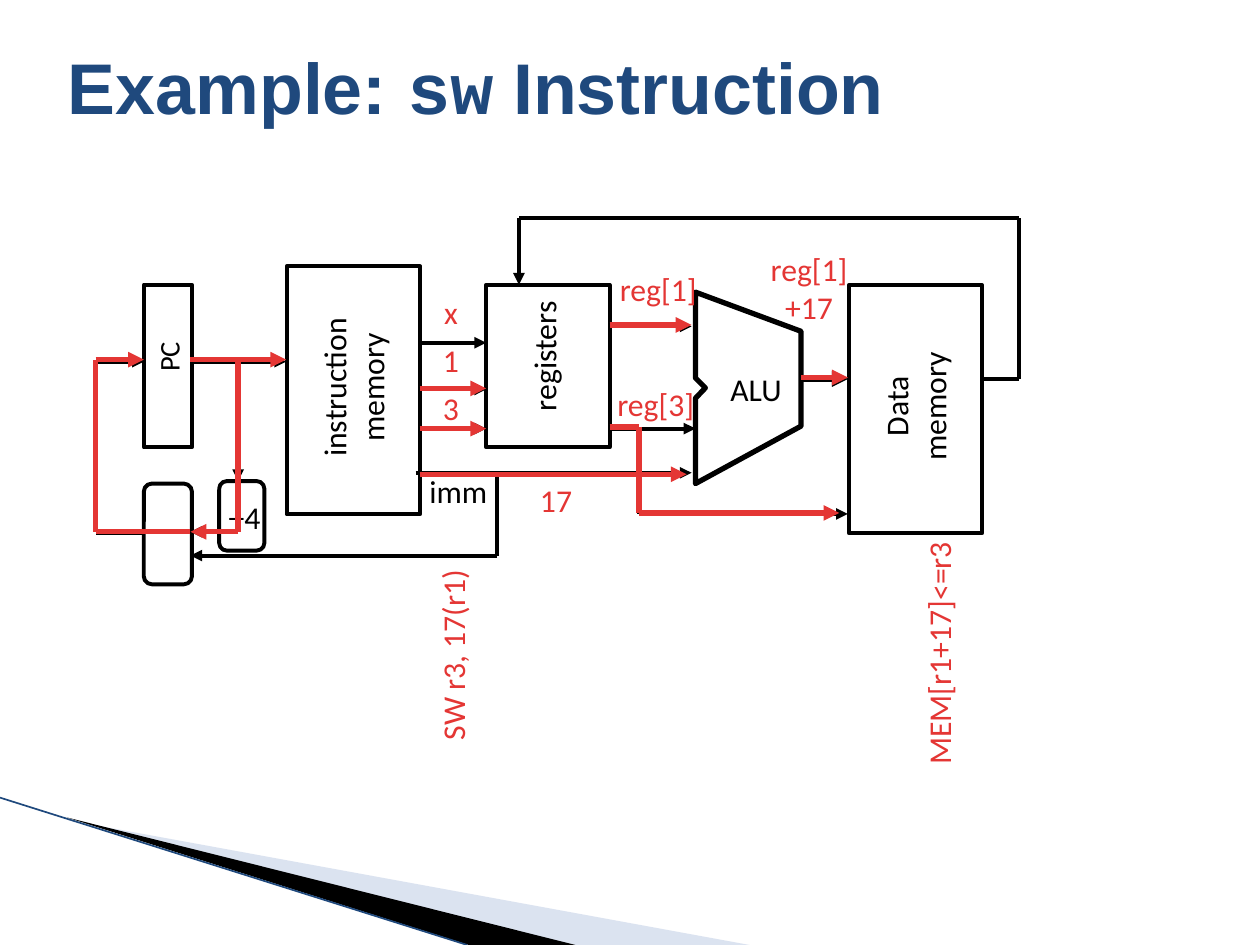
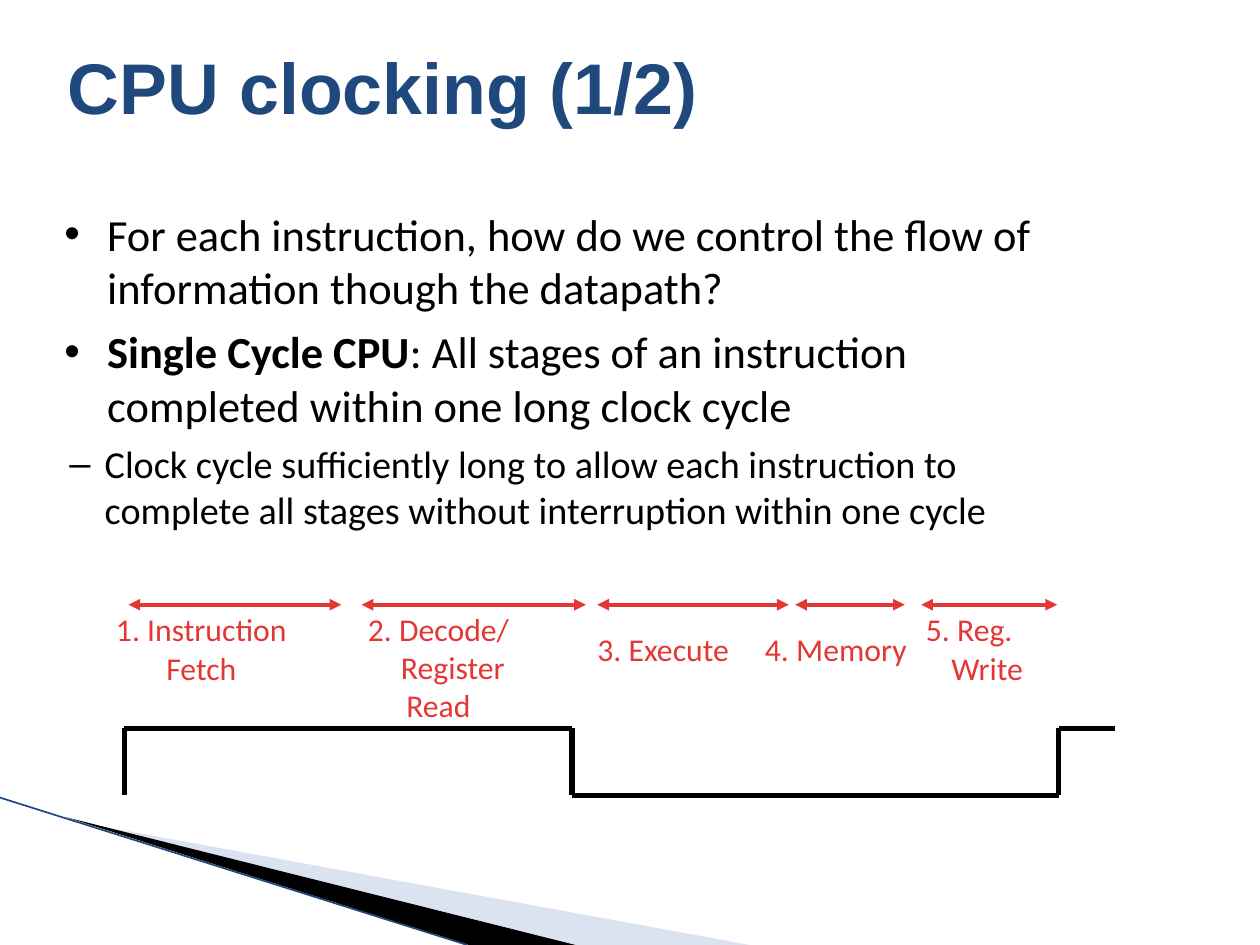
from pptx import Presentation
from pptx.dml.color import RGBColor
from pptx.enum.shapes import MSO_CONNECTOR, MSO_SHAPE
from pptx.enum.text import MSO_ANCHOR, MSO_AUTO_SIZE, PP_ALIGN
from pptx.oxml.ns import qn
from pptx.util import Cm, Pt
from lxml import etree

STRAIGHT = MSO_CONNECTOR.STRAIGHT
RECTANGLE, ROUNDED = MSO_SHAPE.RECTANGLE, MSO_SHAPE.ROUNDED_RECTANGLE
TOP, MIDDLE = MSO_ANCHOR.TOP, MSO_ANCHOR.MIDDLE
LEFT, CENTER = PP_ALIGN.LEFT, PP_ALIGN.CENTER
NO_AUTOFIT = MSO_AUTO_SIZE.NONE

NAVY = RGBColor(0x1F, 0x49, 0x7D)
PALE_BLUE = RGBColor(0xA7, 0xB9, 0xDB)
BLACK = RGBColor(0, 0, 0)
WHITE = RGBColor(0xFF, 0xFF, 0xFF)
RED = RGBColor(0xE4, 0x36, 0x34)

TITLE_FONT, TEXT_FONT, CODE_FONT = "Arial", "Calibri", "Courier New"
TITLE_SIZE, LABEL_SIZE = 41, 18.1
THIN, THICK = 2.25, 3
TITLE_ONLY, TITLE_AND_BODY = 5, 1


class Painter:
    """Holds the deck's style and the slide being drawn."""

    def __init__(self, deck):
        self.deck = deck
        self.page = None

    def add_page(self, layout, title_spans):
        self.page = self.deck.slides.add_slide(self.deck.slide_layouts[layout])
        title = self.page.shapes.title
        self.place(title, 1.27, 0.76, 22.86, 3.18)
        self.set_frame(title.text_frame, 0.1, TOP)
        para = title.text_frame.paragraphs[0]
        para.alignment = LEFT
        for text, font in title_spans:
            self.span(para, text, TITLE_SIZE, NAVY, font, True)

    def place(self, shape, left, top, width, height):
        shape.left, shape.top = Cm(left), Cm(top)
        shape.width, shape.height = Cm(width), Cm(height)

    def set_frame(self, frame, inset, anchor, wrap=True):
        frame.margin_left = frame.margin_right = Cm(inset)
        frame.margin_top = frame.margin_bottom = Cm(inset)
        frame.vertical_anchor = anchor
        frame.word_wrap = wrap
        frame.auto_size = NO_AUTOFIT

    def span(self, para, text, size, color, font=TEXT_FONT, bold=False):
        run = para.add_run()
        run.text = text
        run.font.size = Pt(size)
        run.font.name = font
        run.font.bold = bold
        run.font.color.rgb = color

    def indent(self, para, margin, first=0):
        properties = para._p.get_or_add_pPr()
        properties.set("marL", str(Cm(margin)))
        properties.set("indent", str(Cm(first)))

    def bullets(self, items, left, top, width, height):
        """items: (level, [(text, bold), ...]); level 0 or 1."""
        styles = [(25.4, 6.3, 0.86, -0.86), (21.8, 5.5, 0.81, -0.71)]
        body = self.page.placeholders[1]
        self.place(body, left, top, width, height)
        frame = body.text_frame
        self.set_frame(frame, 0.13, TOP)
        for number, (level, spans) in enumerate(items):
            para = frame.add_paragraph() if number else frame.paragraphs[0]
            size, before, margin, first = styles[level]
            para.level = level
            para.space_before = Pt(before)
            self.indent(para, margin, first)
            for text, bold in spans:
                self.span(para, text, size, BLACK, bold=bold)

    def block(self, left, top, width, height, kind=RECTANGLE):
        box = self.page.shapes.add_shape(
            kind, Cm(left), Cm(top), Cm(width), Cm(height))
        box.shadow.inherit = False
        box.fill.solid()
        box.fill.fore_color.rgb = WHITE
        box.line.color.rgb = BLACK
        box.line.width = Pt(THIN)

    def label(self, lines, x, y, width, color=BLACK, size=LABEL_SIZE,
              turned=False, leads=None):
        """Centred text around (x, y); leads shifts single lines right."""
        height = 0.28 + 0.76 * len(lines)
        box = self.page.shapes.add_textbox(
            Cm(x - width / 2), Cm(y - height / 2), Cm(width), Cm(height))
        box.rotation = 270 if turned else 0
        frame = box.text_frame
        self.set_frame(frame, 0.13, MIDDLE, wrap=False)
        for number, text in enumerate(lines):
            para = frame.add_paragraph() if number else frame.paragraphs[0]
            para.alignment = CENTER
            self.indent(para, 0.1 + (leads[number] if leads else 0))
            self.span(para, text, size, color)

    def outline(self, points):
        corners = [(Cm(x), Cm(y)) for x, y in points]
        builder = self.page.shapes.build_freeform(*corners[0], scale=1.0)
        builder.add_line_segments(corners[1:], close=True)
        shape = builder.convert_to_shape()
        shape.shadow.inherit = False
        return shape

    def wire(self, points, color=BLACK, width=THIN, head=False, tail=True):
        """Straight pieces through the points, arrowheads at the ends."""
        pieces = list(zip(points, points[1:]))
        for number, (start, end) in enumerate(pieces):
            line = self.page.shapes.add_connector(
                STRAIGHT, *(Cm(value) for value in start + end))
            line.line.color.rgb = color
            line.line.width = Pt(width)
            stroke = line.line._get_or_add_ln()
            if head and number == 0:
                etree.SubElement(stroke, qn("a:headEnd"), type="triangle")
            if tail and number == len(pieces) - 1:
                etree.SubElement(stroke, qn("a:tailEnd"), type="triangle")
            etree.SubElement(line._element.spPr, qn("a:effectLst"))
        return line

    def corner_bands(self):
        """Draw the corner once and hand it to the slide master."""
        pale = self.outline([(1.4, 16.54), (15.11, 19.05), (11.58, 19.05)])
        dark = self.outline([(1.35, 16.48), (11.6, 19.05), (9.45, 19.05)])
        for band, color in ((pale, PALE_BLUE), (dark, BLACK)):
            band.fill.solid()
            band.fill.fore_color.rgb = color
            band.line.fill.background()
        tint = pale._element.spPr.find(".//" + qn("a:srgbClr"))
        etree.SubElement(tint, qn("a:alpha"), val="40000")
        edge = self.wire([(0, 16.08), (9.42, 19.05)], NAVY, 0.95, tail=False)
        tree = self.deck.slide_master.shapes.element
        for number, part in enumerate((pale, dark, edge)):
            part._element.find(".//" + qn("p:cNvPr")).set("id", str(100 + number))
            tree.insert(2 + number, part._element)


def draw_datapath(painter):
    # Storage blocks and adders
    painter.block(2.9, 5.74, 0.97, 3.28)
    painter.block(5.78, 5.37, 2.69, 5)
    painter.block(9.8, 5.74, 2.49, 3.28)
    painter.block(17.11, 5.75, 2.69, 5)
    painter.block(4.42, 9.7, 0.91, 1.4, ROUNDED)
    painter.block(2.9, 9.75, 0.97, 2.03, ROUNDED)

    # ALU with its notch
    alu = painter.outline([
        (14.02, 5.89), (16.15, 6.68), (16.15, 8.59), (14.02, 9.75),
        (14.02, 8.03), (14.22, 7.82), (14.02, 7.62)])
    alu.fill.background()
    alu.line.color.rgb = BLACK
    alu.line.width = Pt(THICK)

    # Black wires of the whole datapath
    for points in (
            [(3.84, 7.29), (5.77, 7.29)],
            [(8.46, 6.91), (9.8, 6.91)],
            [(8.46, 7.85), (9.8, 7.85)],
            [(8.46, 8.64), (9.8, 8.64)],
            [(8.38, 9.53), (13.94, 9.53)],
            [(12.29, 6.58), (13.94, 6.58)],
            [(12.29, 8.64), (14.02, 8.64)],
            [(12.88, 9.6), (12.88, 10.36), (17.09, 10.36)],
            [(19.79, 7.64), (20.55, 7.64), (20.55, 4.4), (10.46, 4.4),
             (10.46, 5.74)],
            [(4.8, 7.29), (4.8, 9.7)],
            [(4.42, 10.72), (3.84, 10.72)],
            [(10.01, 9.53), (10.01, 11.2), (3.84, 11.2)],
            [(1.93, 7.29), (2.9, 7.29)]):
        painter.wire(points)
    painter.wire([(12.88, 8.64), (12.88, 9.4)], tail=False)
    painter.wire([(2.9, 10.74), (1.93, 10.74)], tail=False)
    painter.wire([(16.15, 7.64), (17.09, 7.64)], width=THICK)

    # Block names
    painter.label(["PC"], 3.39, 7.24, 1.09, size=16.3, turned=True)
    painter.label(["instruction", "memory"], 7.11, 7.86, 3.3, turned=True)
    painter.label(["registers"], 10.96, 7.23, 2.72, turned=True)
    painter.label(["Data", "memory"], 18.44, 8.24, 2.69, turned=True)
    painter.label(["ALU"], 15.19, 7.84, 1.52)
    painter.label(["+4"], 4.88, 10.41, 1.12)
    painter.label(["imm"], 9.19, 9.89, 1.68)

    # Red values of the sw instruction
    for number, value in enumerate(["x", "1", "3"]):
        painter.label([value], 9.04, 6.29 + 0.97 * number, 0.81, RED)
    painter.label(["17"], 11.16, 10.07, 1.14, RED)
    painter.label(["reg[1]"], 13.22, 5.83, 2.06, RED)
    painter.label(["reg[3]"], 13.17, 8.14, 2.06, RED)
    painter.label(["reg[1]", "+17"], 16.26, 5.8, 2.03, RED)
    painter.label(["SW r3, 17(r1)"], 9.12, 13.25, 3.96, RED, turned=True)
    painter.label(["MEM[r1+17]<=r3"], 18.92, 13.22, 5.03, RED, turned=True)

    # Red wires the instruction uses
    for points in (
            [(3.84, 7.25), (5.77, 7.25)],
            [(8.46, 7.83), (9.8, 7.83)],
            [(8.46, 8.64), (9.8, 8.64)],
            [(8.46, 9.56), (13.84, 9.56)],
            [(12.29, 6.55), (13.94, 6.55)],
            [(16.15, 7.61), (17.09, 7.61)],
            [(12.29, 8.61), (12.88, 8.61), (12.88, 10.34), (16.92, 10.34)],
            [(4.8, 7.3), (4.8, 10.72), (3.84, 10.72)],
            [(3.84, 10.72), (1.93, 10.72), (1.93, 7.25), (2.9, 7.25)]):
        painter.wire(points, RED, THICK)


def draw_clocking(painter):
    painter.bullets([
        (0, [("For each instruction, how do we control the flow of "
              "information though the datapath?", False)]),
        (0, [("Single Cycle CPU", True),
             (": All stages of an instruction completed within one long "
              "clock cycle", False)]),
        (1, [("Clock cycle sufficiently long to allow each instruction to "
              "complete all stages without interruption within one cycle",
              False)]),
    ], 1.17, 4.04, 20.75, 13.26)

    # Stages: span of the arrow, then the label
    stages = [
        (2.59, 6.88, ["1. Instruction", "Fetch"], 4.01, 13.07, 3.96, None),
        (7.29, 11.81, ["2. Decode/", "Register", "Read"], 8.79, 13.44, 3.35,
         [0, 0.58, 0]),
        (12.04, 15.9, ["3. Execute"], 13.32, 13.07, 3.18, None),
        (16.03, 18.24, ["4. Memory"], 16.8, 13.07, 3.38, None),
        (18.57, 21.31, ["5. Reg.", "Write"], 19.49, 13.07, 2.67, [0, 0.72]),
    ]
    for start, end, lines, x, y, width, leads in stages:
        painter.wire([(start, 12.19), (end, 12.19)], RED, head=True)
        painter.label(lines, x, y, width, RED, leads=leads)

    # Clock signal
    high, low = 14.68, 16.03
    painter.wire([
        (2.51, low), (2.51, high), (11.53, high), (11.53, low),
        (21.34, low), (21.34, high), (22.48, high)],
        width=THICK, tail=False)


def main():
    deck = Presentation()
    deck.slide_width, deck.slide_height = Cm(25.4), Cm(19.05)
    painter = Painter(deck)

    painter.add_page(TITLE_ONLY, [
        ("Example: ", TITLE_FONT), ("sw", CODE_FONT),
        (" Instruction", TITLE_FONT)])
    painter.corner_bands()
    draw_datapath(painter)

    painter.add_page(TITLE_AND_BODY, [("CPU clocking (1/2)", TITLE_FONT)])
    draw_clocking(painter)

    deck.save("out.pptx")


if __name__ == "__main__":
    main()
